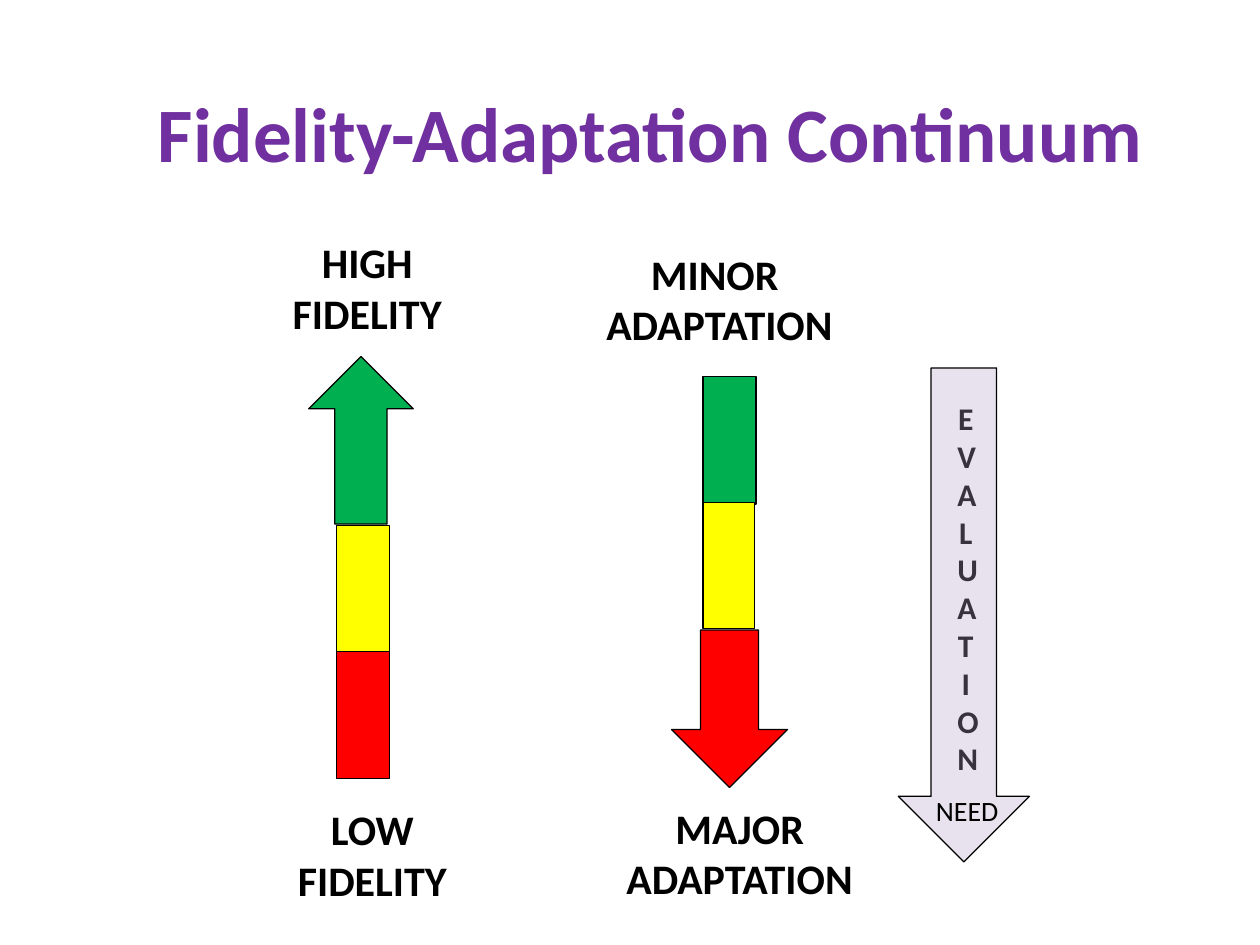
from dataclasses import dataclass

from lxml import etree
from pptx import Presentation
from pptx.dml.color import RGBColor
from pptx.enum import shapes, text
from pptx.oxml import ns
from pptx.util import Inches, Pt


@dataclass(frozen=True)
class Theme:
    font: str = "Calibri"
    title: str = "7030A0"
    ink: str = "000000"
    green: str = "00B050"
    yellow: str = "FFFF00"
    red: str = "FF0000"
    mauve: str = "B3A2C7"
    huge: int = 44
    large: int = 24
    mid: int = 18
    small: int = 16


look = Theme()
deck = Presentation()
deck.slide_width, deck.slide_height = Inches(10), Inches(7.5)
slide = deck.slides.add_slide(deck.slide_layouts[6])


def label(words, spot, size, color=look.ink, bold=True, align=text.PP_ALIGN.CENTER):
    box = slide.shapes.add_textbox(*map(Inches, spot))
    frame = box.text_frame
    frame.word_wrap = True
    frame.text = words
    for para in frame.paragraphs:
        para.alignment = align
        para.font.name = look.font
        para.font.size = Pt(size)
        para.font.bold = bold
        para.font.color.rgb = RGBColor.from_string(color)
    return frame


def block(kind, spot, color):
    part = slide.shapes.add_shape(kind, *map(Inches, spot))
    part.shadow.inherit = False
    part.fill.solid()
    part.fill.fore_color.rgb = RGBColor.from_string(color)
    part.line.color.rgb = RGBColor.from_string(look.ink)
    part.line.width = Pt(0.75)
    return part


title = label("Fidelity-Adaptation Continuum", (0.5, 0.42, 9.33, 1.25), look.huge, look.title)
title.vertical_anchor = text.MSO_ANCHOR.MIDDLE

label("\n".join("EVALUATION"), (7.5, 3.12, 0.33, 3.13), look.mid)
kind = shapes.MSO_SHAPE
need = block(kind.DOWN_ARROW, (7.13, 2.92, 1.04, 3.92), look.mauve)
tint = need.fill._xPr.find(".//" + ns.qn("a:srgbClr"))
etree.SubElement(tint, ns.qn("a:alpha"), val="31000")
label("NEED", (7.33, 6.25, 0.92, 0.37), look.small, bold=False, align=text.PP_ALIGN.LEFT)

for words, spot in (
    ("HIGH\nFIDELITY", (1.83, 1.83, 2.17, 0.91)),
    ("LOW\nFIDELITY", (1.83, 6.33, 2.25, 0.91)),
    ("MAJOR\vADAPTATION", (4.33, 6.32, 3.08, 0.9)),
    ("MINOR \nADAPTATION", (4.17, 1.92, 3.08, 0.91)),
):
    label(words, spot, look.large)

for form, spot, color in (
    (kind.UP_ARROW, (2.45, 2.83, 0.83, 1.33), look.green),
    (kind.RECTANGLE, (2.67, 4.17, 0.42, 1.01), look.yellow),
    (kind.RECTANGLE, (2.67, 5.17, 0.42, 1.01), look.red),
    (kind.DOWN_ARROW, (5.33, 5, 0.92, 1.25), look.red),
    (kind.RECTANGLE, (5.58, 2.99, 0.42, 1.01), look.green),
    (kind.RECTANGLE, (5.58, 3.99, 0.41, 1), look.yellow),
):
    block(form, spot, color)

deck.save("out.pptx")
